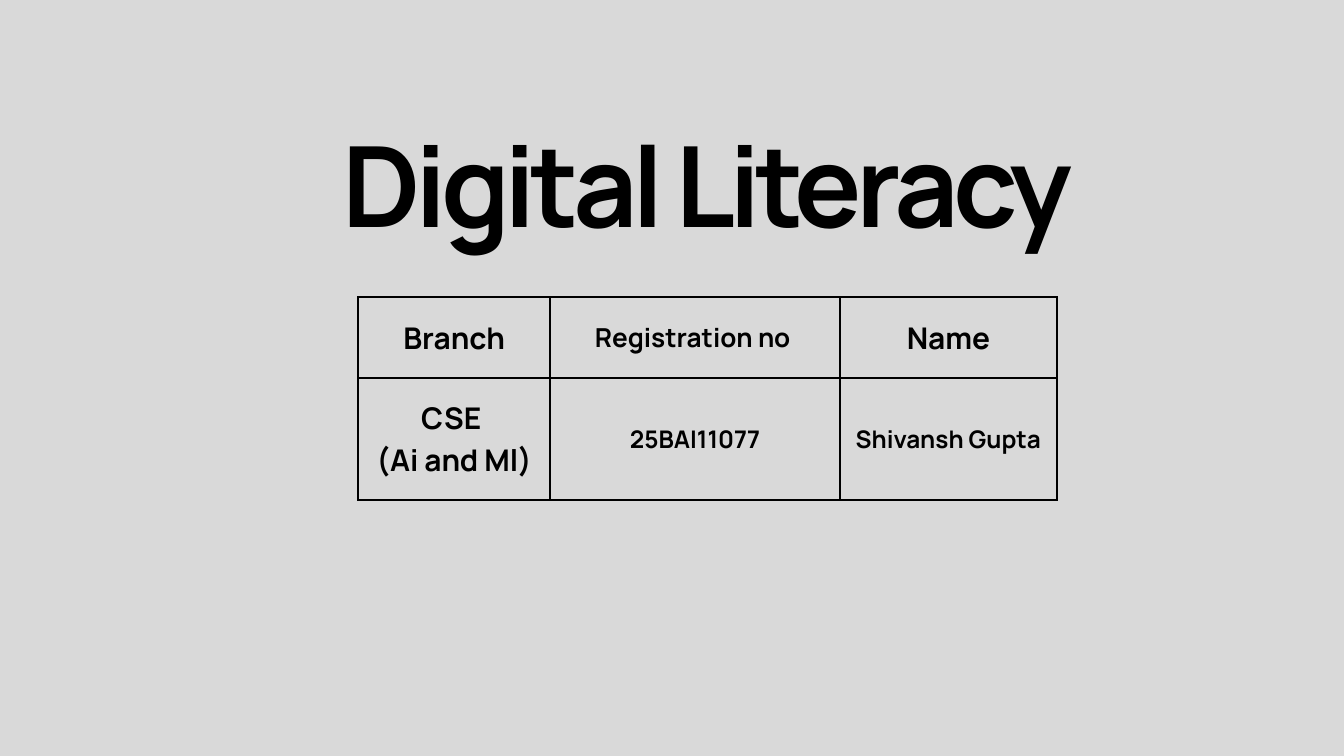
from lxml import etree
from pptx import Presentation
from pptx import util as u
from pptx.dml.color import RGBColor
from pptx.enum import text
from pptx.oxml import ns

BLACK = RGBColor(0x00, 0x00, 0x00)
GREY = RGBColor(0xD9, 0xD9, 0xD9)
FONT = "Manrope"
BORDER = u.Pt(2.1)
CELL_MARGIN = u.Cm(0.38)

COLUMN_WIDTHS = [7.26, 10.95, 8.2]
ROW_HEIGHTS = [3.05, 4.62]
STUDENT_ROWS = [
    [(["Branch"], 32), (["Registration no "], 28), (["Name"], 32)],
    [(["CSE ", "(Ai and Ml)"], 32), (["25BAI11077"], 26), (["Shivansh Gupta"], 26)],
]


def write_lines(frame, lines, size, leading):
    for index, line in enumerate(lines):
        para = frame.paragraphs[0] if index == 0 else frame.add_paragraph()
        para.alignment = text.PP_ALIGN.CENTER
        para.line_spacing = u.Pt(size * leading)
        span = para.add_run()
        span.text = line
        span.font.name = FONT
        span.font.size = u.Pt(size)
        span.font.bold = True
        span.font.color.rgb = BLACK


def set_borders(cell):
    properties = cell._tc.get_or_add_tcPr()
    for side in ("a:lnL", "a:lnR", "a:lnT", "a:lnB"):
        line = etree.SubElement(properties, ns.qn(side), w=str(int(BORDER)))
        fill = etree.SubElement(line, ns.qn("a:solidFill"))
        etree.SubElement(fill, ns.qn("a:srgbClr"), val=str(BLACK))


def add_student_table(page, left, top, width, height):
    table = page.shapes.add_table(
        len(ROW_HEIGHTS), len(COLUMN_WIDTHS), left, top, width, height
    ).table
    table.first_row = False
    table.horz_banding = False
    for column, share in zip(table.columns, COLUMN_WIDTHS):
        column.width = int(width * share / sum(COLUMN_WIDTHS))
    for row, share in zip(table.rows, ROW_HEIGHTS):
        row.height = int(height * share / sum(ROW_HEIGHTS))
    for row, contents in zip(table.rows, STUDENT_ROWS):
        for cell, (lines, size) in zip(row.cells, contents):
            set_borders(cell)
            cell.fill.background()
            cell.vertical_anchor = text.MSO_ANCHOR.MIDDLE
            cell.margin_left = cell.margin_right = CELL_MARGIN
            cell.margin_top = cell.margin_bottom = CELL_MARGIN
            write_lines(cell.text_frame, lines, size, 1.4)


def add_title(page, left, top, width, height):
    box = page.shapes.add_textbox(left, top, width, height)
    frame = box.text_frame
    frame.word_wrap = True
    frame.auto_size = text.MSO_AUTO_SIZE.SHAPE_TO_FIT_TEXT
    frame.margin_left = frame.margin_right = 0
    frame.margin_top = frame.margin_bottom = 0
    write_lines(frame, ["Digital Literacy"], 120, 0.95)
    span = frame.paragraphs[0].runs[0]
    span.font._element.set("spc", "-600")


def main():
    deck = Presentation()
    deck.slide_width = u.Cm(50.8)
    deck.slide_height = u.Cm(28.575)
    page = deck.slides.add_slide(deck.slide_layouts[6])
    page.background.fill.solid()
    page.background.fill.fore_color.rgb = GREY
    add_student_table(
        page, u.Cm(13.54), u.Cm(11.23), u.Cm(sum(COLUMN_WIDTHS)), u.Cm(sum(ROW_HEIGHTS))
    )
    add_title(page, u.Cm(5.54), u.Cm(5.41), u.Cm(42.42), u.Cm(4.62))
    deck.save("out.pptx")


if __name__ == "__main__":
    main()
